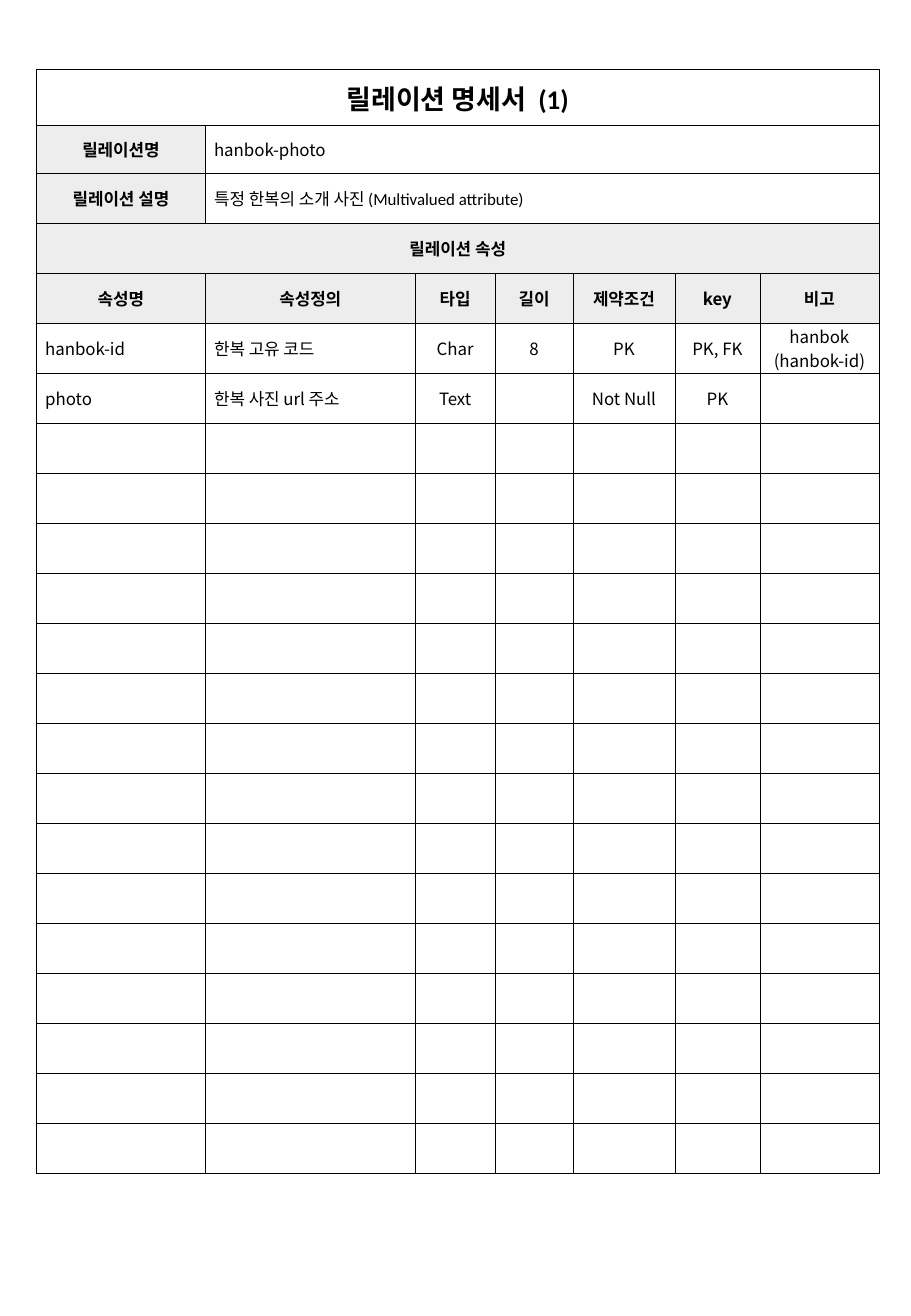
from dataclasses import dataclass

from lxml.etree import SubElement
from pptx import Presentation
from pptx.dml.color import RGBColor
from pptx.enum.text import MSO_ANCHOR, PP_ALIGN
from pptx.oxml.ns import qn
from pptx.util import Pt


@dataclass(frozen=True)
class Theme:
    ink: str = "000000"
    paper: str = "FFFFFF"
    shade: str = "EDEDED"
    latin: str = "Calibri"
    hangul: str = "Noto Sans CJK KR"
    title: float = 16
    body: float = 10
    line: float = 0.25


THEME = Theme()
COLS = [100.1, 124.4, 47.4, 46.2, 60.4, 50.4, 70.5]
ROWS = [33.2, 28.5] + [29.63] * 20
PADS = {"margin_left": 5.2, "margin_right": 5.2,
        "margin_top": 2.2, "margin_bottom": 2.2}
TIGHT = {"margin_top": 0, "margin_bottom": 0}

TITLE = "릴레이션 명세서  (1)"
FACTS = [
    ("릴레이션명", "hanbok-photo", THEME.hangul),
    ("릴레이션 설명", "특정 한복의 소개 사진 (Multivalued attribute)", THEME.latin),
]
BAND = "릴레이션 속성"
HEADS = ["속성명", "속성정의", "타입", "길이", "제약조건", "key", "비고"]
FIELDS = [
    ["hanbok-id", "한복 고유 코드", "Char", "8", "PK", "PK, FK", "hanbok (hanbok-id)"],
    ["photo", "한복 사진 url 주소", "Text", "", "Not Null", "PK", ""],
]


def apply(item, values):
    for name, value in values.items():
        setattr(item, name, value)


def pad(cell, pads):
    apply(cell, {name: Pt(size) for name, size in pads.items()})


def border(cell):
    props = cell._tc.get_or_add_tcPr()
    for side in ("a:lnL", "a:lnR", "a:lnT", "a:lnB"):
        line = SubElement(props, qn(side), w=str(Pt(THEME.line)))
        fill = SubElement(line, qn("a:solidFill"))
        SubElement(fill, qn("a:srgbClr"), val=THEME.ink)


def paint(cell, color):
    cell.fill.solid()
    cell.fill.fore_color.rgb = RGBColor.from_string(color)


def write(cell, text, align=PP_ALIGN.CENTER, face=THEME.hangul,
          size=THEME.body, bold=False):
    para = cell.text_frame.paragraphs[0]
    para.alignment = align
    run = para.add_run()
    run.text = text
    apply(run.font, {"name": face, "size": Pt(size), "bold": bold})
    run.font.color.rgb = RGBColor.from_string(THEME.ink)
    SubElement(run._r.get_or_add_rPr(), qn("a:ea"), typeface=THEME.hangul)


def label(cell, text):
    """Write a bold heading on a shaded cell."""
    paint(cell, THEME.shade)
    write(cell, text, bold=True)


def span(grid, row, first=0):
    """Merge a row from the first column to the right edge."""
    cell = grid.cell(row, first)
    cell.merge(grid.cell(row, len(COLS) - 1))
    return cell


def make_grid(slide):
    frame = slide.shapes.add_table(len(ROWS), len(COLS), Pt(21.6), Pt(41.1),
                                   Pt(sum(COLS)), Pt(sum(ROWS)))
    grid = frame.table
    apply(grid, {"first_row": False, "horz_banding": False})
    for col, width in zip(grid.columns, COLS):
        col.width = Pt(width)
    for row, height in zip(grid.rows, ROWS):
        row.height = Pt(height)
    for cell in grid.iter_cells():
        border(cell)
        paint(cell, THEME.paper)
        pad(cell, PADS)
        cell.vertical_anchor = MSO_ANCHOR.MIDDLE
    return grid


def fill_top(grid):
    write(span(grid, 0), TITLE, face=THEME.latin, size=THEME.title, bold=True)
    for row, (name, value, face) in enumerate(FACTS, 1):
        label(grid.cell(row, 0), name)
        write(span(grid, row, 1), value, PP_ALIGN.LEFT, face)
    label(span(grid, 3), BAND)


def fill_fields(grid):
    for col, head in enumerate(HEADS):
        label(grid.cell(4, col), head)
    for row, field in enumerate(FIELDS, 5):
        for col, text in enumerate(field):
            if text:
                align = PP_ALIGN.LEFT if col < 2 else PP_ALIGN.CENTER
                write(grid.cell(row, col), text, align)
    pad(grid.cell(5, 6), TIGHT)


def main():
    deck = Presentation()
    apply(deck, {"slide_width": Pt(540), "slide_height": Pt(779.76)})
    slide = deck.slides.add_slide(deck.slide_layouts[6])
    grid = make_grid(slide)
    fill_top(grid)
    fill_fields(grid)
    deck.save("out.pptx")


if __name__ == "__main__":
    main()
